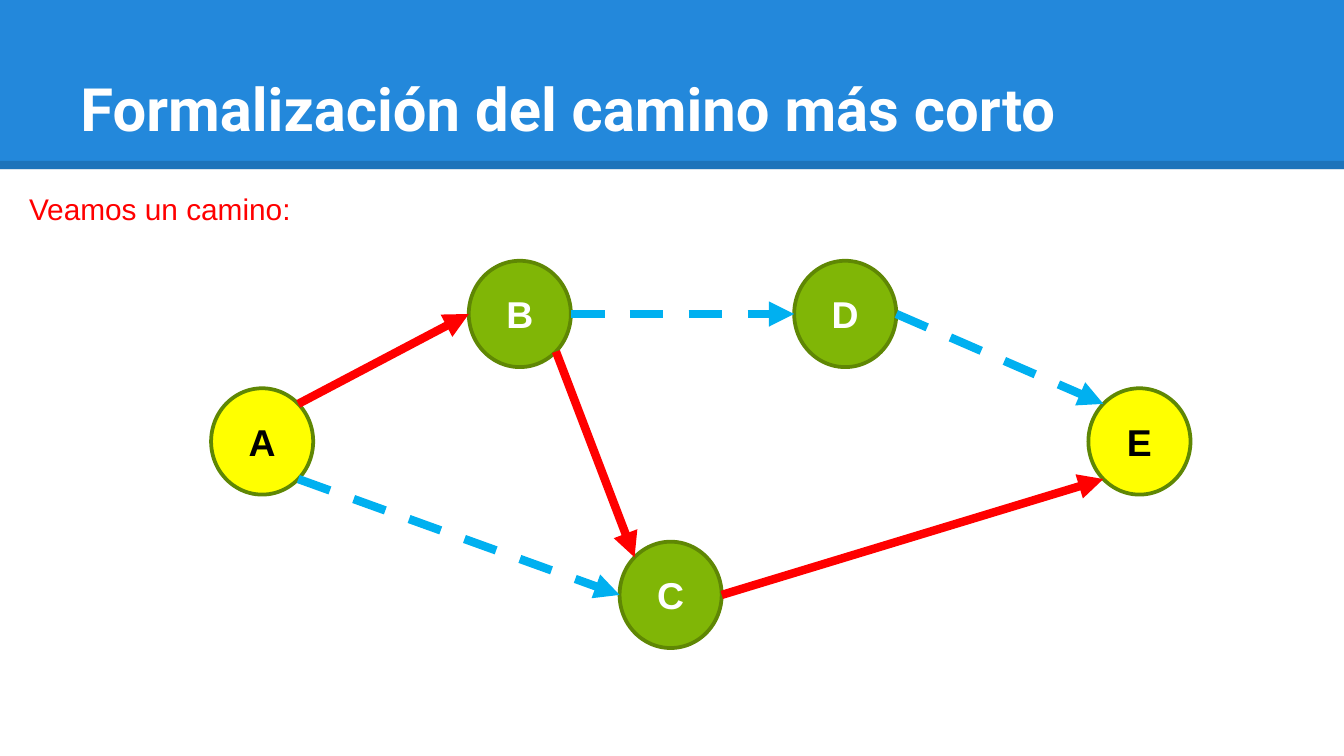
from math import sqrt

from lxml.etree import SubElement
from pptx import Presentation
from pptx.dml.color import RGBColor
from pptx.enum.dml import MSO_LINE_DASH_STYLE as Dash
from pptx.enum.shapes import MSO_CONNECTOR as Connector, MSO_SHAPE as Shape
from pptx.enum.text import MSO_ANCHOR as Anchor, MSO_AUTO_SIZE as AutoSize, PP_ALIGN as Align
from pptx.oxml.ns import qn
from pptx.util import Cm, Pt

TITLE = "Formalización del camino más corto"
INTRO = "Veamos un camino:"
NODES = {
    "A": (3.99, 7.34, "endpoint"),
    "C": (11.71, 10.24, "inner"),
    "D": (15.01, 4.93, "inner"),
    "E": (20.57, 7.34, "endpoint"),
    "B": (8.86, 4.93, "inner"),
}
EDGES = [
    ("A", "top right", "B", "left", "path"),
    ("A", "bottom right", "C", "left", "other"),
    ("B", "right", "D", "left", "other"),
    ("D", "right", "E", "top left", "other"),
    ("C", "right", "E", "bottom left", "path"),
    ("B", "bottom right", "C", "top left", "path"),
]

THEME = {
    "band": "2388DB", "band edge": "000000", "title": "FFFFFF", "intro": "FF0000",
    "outline": "5F8704", "path": "FF0000", "other": "00B0F0",
    "endpoint": ("FFFF00", "000000"), "inner": ("80B606", "FFFFFF"),
    "title font": "Roboto", "body font": "Arial",
    "title size": 32, "node size": 20, "intro size": 16,
    "outline width": 2, "edge width": 4.5,
}
SLIDE_W, SLIDE_H = 25.4, 14.29
BAND_H, BAND_EDGE_Y = 3.2, 3.12
NODE_W, NODE_H = 1.93, 2.01


def color(name):
    return RGBColor.from_string(name)


def style_text(paragraph, font, size, ink, bold=False):
    for run in paragraph.runs:
        run.font.name = THEME[font]
        run.font.size = Pt(THEME[size])
        run.font.bold = bold
        run.font.color.rgb = color(ink)


def add_filled(slide, kind, left, top, width, height, fill):
    filled = slide.shapes.add_shape(kind, Cm(left), Cm(top), Cm(width), Cm(height))
    filled.shadow.inherit = False
    filled.fill.solid()
    filled.fill.fore_color.rgb = color(fill)
    return filled


def add_line(slide, start, end, ink):
    line = slide.shapes.add_connector(Connector.STRAIGHT, *map(Cm, (*start, *end)))
    line.line.color.rgb = color(ink)
    line.line.width = Pt(THEME["edge width"])
    SubElement(line.element.spPr, qn("a:effectLst"))
    return line


def add_header(slide):
    band = add_filled(slide, Shape.RECTANGLE, 0, 0, SLIDE_W, BAND_H, THEME["band"])
    band.line.fill.background()
    edge = add_line(slide, (0, BAND_EDGE_Y), (SLIDE_W, BAND_EDGE_Y), THEME["band edge"])
    ink = next(edge.element.iter(qn("a:srgbClr")))
    SubElement(ink, qn("a:alpha"), val="14000")

    title = slide.shapes.title
    slide.shapes.element.append(title.element)
    title.left, title.top, title.width, title.height = map(Cm, (1.27, 0.58, 22.86, 2.39))
    frame = title.text_frame
    frame.text = TITLE
    frame.vertical_anchor = Anchor.BOTTOM
    frame.auto_size = AutoSize.NONE
    frame.margin_left = frame.margin_right = frame.margin_top = frame.margin_bottom = Cm(0.25)
    frame.paragraphs[0].alignment = Align.LEFT
    style_text(frame.paragraphs[0], "title font", "title size", THEME["title"], True)


def add_node(slide, label, left, top, role):
    fill, ink = THEME[role]
    node = add_filled(slide, Shape.OVAL, left, top, NODE_W, NODE_H, fill)
    node.line.color.rgb = color(THEME["outline"])
    node.line.width = Pt(THEME["outline width"])
    frame = node.text_frame
    frame.text = label
    frame.vertical_anchor = Anchor.MIDDLE
    frame.paragraphs[0].alignment = Align.CENTER
    style_text(frame.paragraphs[0], "body font", "node size", ink, True)


def rim_point(label, side):
    left, top, _ = NODES[label]
    dx = ("right" in side) - ("left" in side)
    dy = ("bottom" in side) - ("top" in side)
    reach = sqrt(dx * dx + dy * dy)
    return left + NODE_W / 2 * (1 + dx / reach), top + NODE_H / 2 * (1 + dy / reach)


def add_edge(slide, source, exit_side, target, entry_side, role):
    edge = add_line(slide, rim_point(source, exit_side), rim_point(target, entry_side), THEME[role])
    if role == "other":
        edge.line.dash_style = Dash.DASH
    SubElement(edge.line._get_or_add_ln(), qn("a:tailEnd"), type="triangle")


def add_intro(slide):
    intro = slide.shapes.add_textbox(Cm(0.3), Cm(3.48), Cm(5.54), Cm(0.94))
    frame = intro.text_frame
    frame.text = INTRO
    frame.word_wrap = False
    frame.auto_size = AutoSize.SHAPE_TO_FIT_TEXT
    style_text(frame.paragraphs[0], "body font", "intro size", THEME["intro"])


def main():
    deck = Presentation()
    deck.slide_width, deck.slide_height = Cm(SLIDE_W), Cm(SLIDE_H)
    slide = deck.slides.add_slide(deck.slide_layouts[5])
    add_header(slide)
    for label, place in NODES.items():
        add_node(slide, label, *place)
    for edge in EDGES:
        add_edge(slide, *edge)
    add_intro(slide)
    deck.save("out.pptx")


if __name__ == "__main__":
    main()
